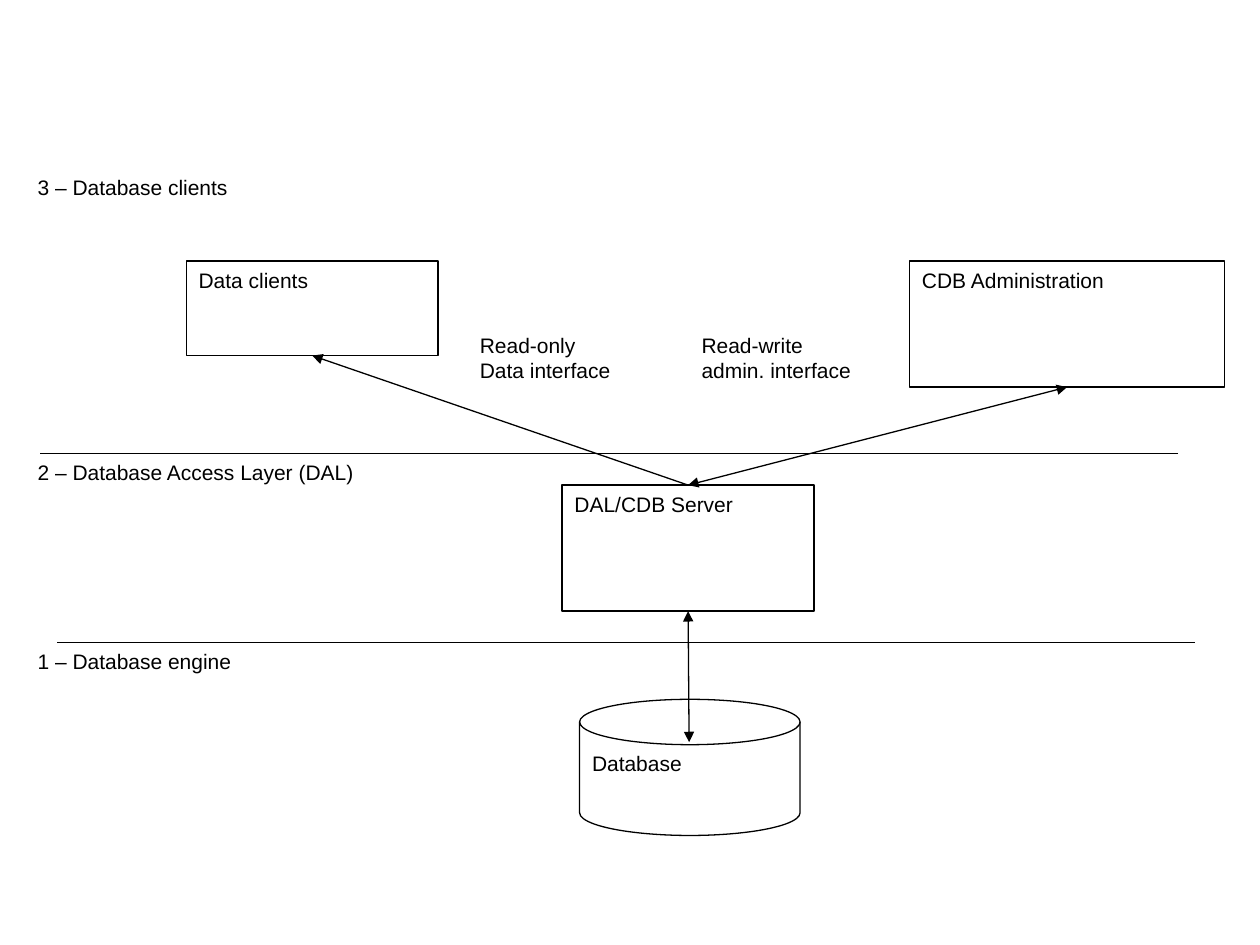
import dataclasses

import pptx
import pptx.dml.color
import pptx.enum.shapes
import pptx.enum.text
import pptx.oxml
import pptx.oxml.ns
import pptx.util

Pt = pptx.util.Pt
Kind = pptx.enum.shapes.MSO_SHAPE
TOP, BOTTOM = 0, 2


@dataclasses.dataclass
class Theme:
    ink: str = "000000"
    paper: str = "FFFFFF"
    font: str = "Arial"
    size: float = 12
    stroke: float = 0.75


def color(code):
    return pptx.dml.color.RGBColor.from_string(code)


def write(shape, text, *, font, size, ink):
    frame = shape.text_frame
    frame.word_wrap = True
    frame.vertical_anchor = pptx.enum.text.MSO_ANCHOR.TOP
    frame.text = text
    for para in frame.paragraphs:
        para.alignment = pptx.enum.text.PP_ALIGN.LEFT
        for run in para.runs:
            run.font.name = font
            run.font.size = Pt(size)
            run.font.color.rgb = color(ink)


class Sketch:
    def __init__(self, slide, theme):
        self.slide = slide
        self.theme = theme

    def fill_text(self, shape, text):
        look = self.theme
        write(shape, text, font=look.font, size=look.size, ink=look.ink)

    def stroke(self, shape):
        shape.line.color.rgb = color(self.theme.ink)
        shape.line.width = Pt(self.theme.stroke)

    def box(self, text, left, top, width, height, kind=Kind.RECTANGLE):
        shape = self.slide.shapes.add_shape(
            kind, Pt(left), Pt(top), Pt(width), Pt(height))
        shape.shadow.inherit = False
        shape.fill.solid()
        shape.fill.fore_color.rgb = color(self.theme.paper)
        self.stroke(shape)
        self.fill_text(shape, text)
        return shape

    def label(self, text, left, top, width, height=72):
        shape = self.slide.shapes.add_textbox(
            Pt(left), Pt(top), Pt(width), Pt(height))
        self.fill_text(shape, text)

    def line(self, start=(0, 0), end=(0, 0), head=False, tail=False,
             source=None, target=None):
        link = self.slide.shapes.add_connector(
            pptx.enum.shapes.MSO_CONNECTOR.STRAIGHT,
            *map(Pt, (*start, *end)))
        if source:
            link.begin_connect(*source)
        if target:
            link.end_connect(*target)
        self.stroke(link)
        edge = link.line._get_or_add_ln()
        for tag, shown in (("a:headEnd", head), ("a:tailEnd", tail)):
            if shown:
                tip = pptx.oxml.xmlchemy.OxmlElement(tag)
                tip.set("type", "triangle")
                edge.append(tip)
        props = link._element.spPr
        props.append(pptx.oxml.xmlchemy.OxmlElement("a:effectLst"))


def main():
    deck = pptx.Presentation()
    deck.slide_width, deck.slide_height = Pt(720), Pt(540)
    slide = deck.slides.add_slide(deck.slide_layouts[6])
    draw = Sketch(slide, Theme())

    draw.box("Database", 331.2, 399.6, 126, 77.8,
             Kind.FLOWCHART_MAGNETIC_DISK)
    server = draw.box("DAL/CDB Server", 321.2, 277.2, 144, 72)
    client = draw.box("Data clients", 106.4, 149.2, 144, 54)
    admin = draw.box("CDB Administration", 519.8, 149.2, 180, 72)

    draw.line(end=(393.8, 424.1), head=True, tail=True,
              source=(server, BOTTOM))
    draw.line(head=True, source=(client, BOTTOM), target=(server, TOP))
    draw.line(head=True, tail=True,
              source=(admin, BOTTOM), target=(server, TOP))

    for left, top in ((32.4, 367.2), (23, 259.2)):
        draw.line((left + 650.2, top), (left, top))

    for text, top, width in (
            ("3 – Database clients", 96.5, 252.7),
            ("2 – Database Access Layer (DAL)", 259.2, 325.4),
            ("1 – Database engine", 367.2, 325.4)):
        draw.label(text, 14.4, top, width)

    draw.label("Read-write\vadmin. interface", 393.8, 186.5, 180.7)
    draw.label("Read-only\nData interface", 267.1, 186.5, 144.7)

    deck.save("out.pptx")


if __name__ == "__main__":
    main()
